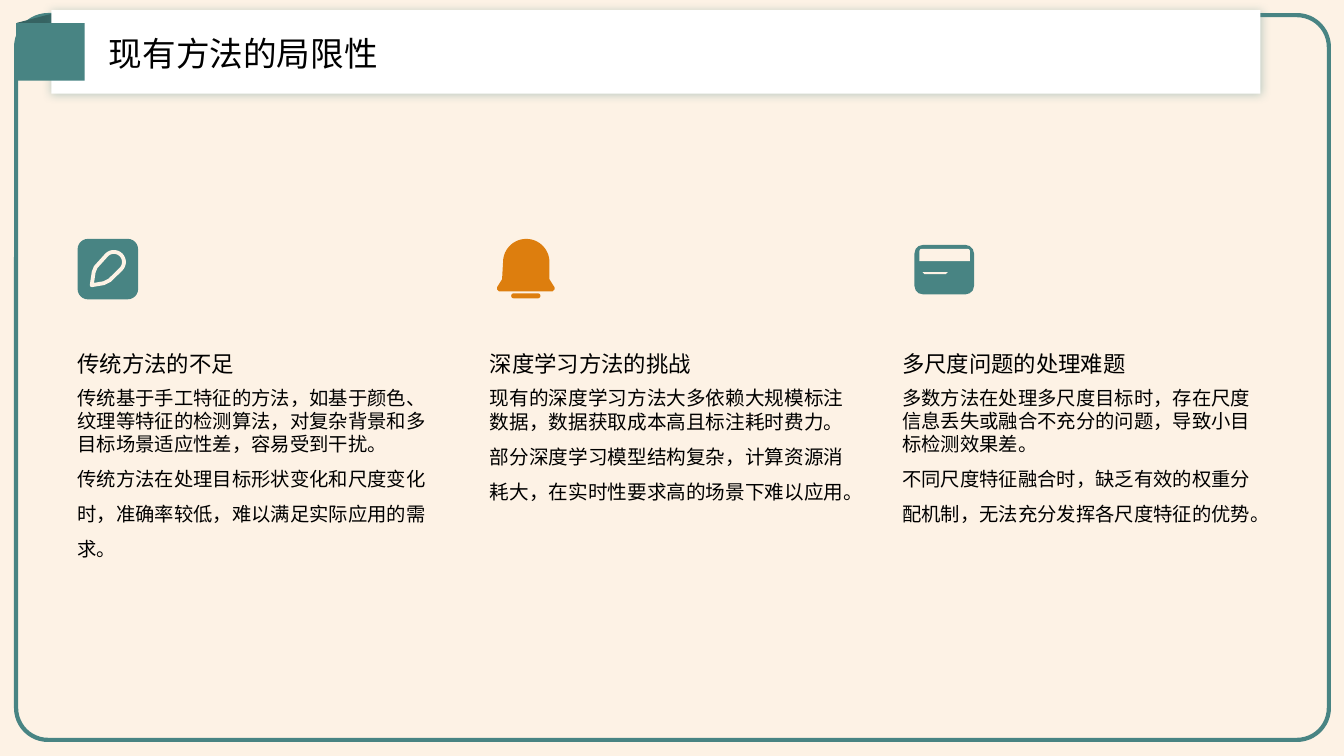
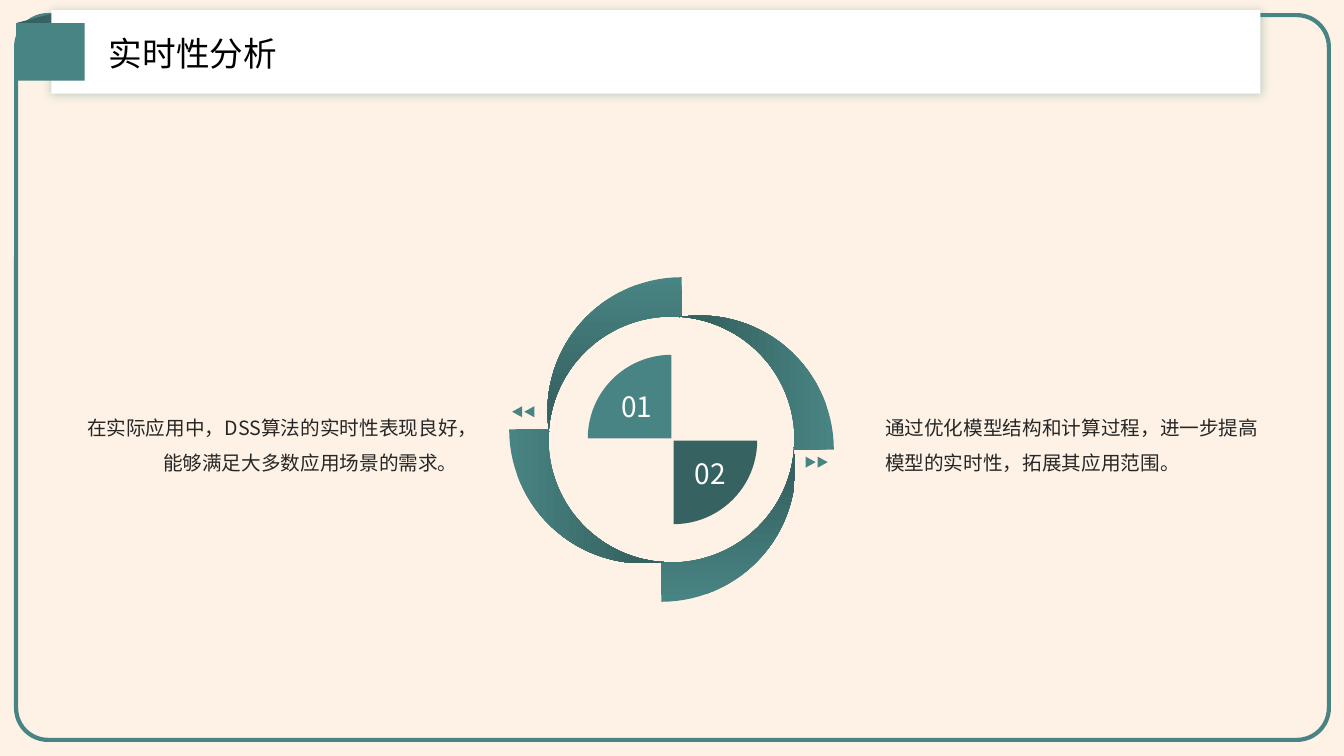
from math import cos, radians, sin

from pptx import Presentation
from pptx.dml.color import RGBColor
from pptx.enum.shapes import MSO_SHAPE as Form
from pptx.enum.text import MSO_ANCHOR as Anchor, PP_ALIGN as Align
from pptx.oxml import parse_xml
from pptx.oxml.ns import nsdecls, qn
from pptx.util import Inches, Pt

FONT = "Noto Sans CJK SC"
TEAL = RGBColor(0x48, 0x84, 0x83)
DARK = RGBColor(0x36, 0x63, 0x62)
ORANGE = RGBColor(0xDD, 0x7E, 0x0E)
CREAM = RGBColor(0xFD, 0xF2, 0xE5)
WHITE = RGBColor(0xFF, 0xFF, 0xFF)
BLACK = RGBColor(0x00, 0x00, 0x00)
INK = RGBColor(0x26, 0x26, 0x26)


def draw(slide, form, where, fill=None, line=None, width=0):
    """Draw a preset in the box `where`, or with no form an outline of
    (x, y) points and (cx, cy, radius, start, end) arcs in degrees."""
    if form is None:
        spots = []
        for spot in where:
            if len(spot) == 2:
                spots.append(spot)
                continue
            x, y, r, start, end = spot
            turns = [radians(start + (end - start) * i / 30) for i in range(31)]
            spots += [(x + r * cos(t), y + r * sin(t)) for t in turns]
        spots = [(Inches(x), Inches(y)) for x, y in spots]
        pen = slide.shapes.build_freeform(*spots[0])
        pen.add_line_segments(spots[1:], close=True)
        shape = pen.convert_to_shape()
    else:
        shape = slide.shapes.add_shape(form, *map(Inches, where))
    shape.shadow.inherit = False
    if fill is None:
        shape.fill.background()
    else:
        shape.fill.solid()
        shape.fill.fore_color.rgb = fill
    if line is None:
        shape.line.fill.background()
    else:
        shape.line.color.rgb = line
        shape.line.width = Pt(width)
    return shape


def write(shape, *texts, size, color=BLACK, align=Align.LEFT,
          anchor=Anchor.TOP, space=(1.5,), inset=True):
    """Fill a shape with one paragraph per text; `space` is per paragraph."""
    frame = shape.text_frame
    frame.word_wrap = True
    frame.vertical_anchor = anchor
    if not inset:
        frame.margin_left = frame.margin_right = 0
        frame.margin_top = frame.margin_bottom = 0
    for i, (text, gap) in enumerate(zip(texts, space)):
        para = frame.paragraphs[0] if i == 0 else frame.add_paragraph()
        para.alignment = align
        para.line_spacing = gap
        para._p.get_or_add_pPr().set("hangingPunct", "1")
        run = para.add_run()
        run.text = text
        run.font.size = Pt(size)
        run.font.color.rgb = color
        run.font.name = FONT
        asian = parse_xml(f'<a:ea {nsdecls("a")} typeface="{FONT}"/>')
        run.font._element.find(qn("a:latin")).addnext(asian)


deck = Presentation()
deck.slide_width, deck.slide_height = Inches(13.33), Inches(7.5)

# Shared layout: background, frame, banner and title place
base = deck.slide_layouts.get_by_name("Title Only")
base.background.fill.solid()
base.background.fill.fore_color.rgb = CREAM
for holder in list(base.placeholders):
    if holder.placeholder_format.idx:
        holder.element.getparent().remove(holder.element)
    else:
        holder.left, holder.top = Inches(1.08), Inches(0.24)
        holder.width, holder.height = Inches(8.51), Inches(0.54)

limits, speed = [deck.slides.add_slide(base) for _ in range(2)]
for slide, title in ((limits, "现有方法的局限性"), (speed, "实时性分析")):
    write(slide.shapes.title, title, size=24, anchor=Anchor.MIDDLE,
          space=(1.1,), inset=False)

frame = draw(limits, Form.ROUNDED_RECTANGLE, (0.16, 0.15, 13.02, 7.19),
             line=TEAL, width=3)
frame.adjustments[0] = 0.044
fold = draw(limits, Form.RECTANGLE, (0.22, 0.16, 0.47, 0.47), DARK)
fold.rotation = 345.4
banner = draw(limits, Form.RECTANGLE, (0.51, 0.1, 11.99, 0.83), WHITE)
glow = parse_xml(
    f'<a:outerShdw {nsdecls("a")} blurRad="{Pt(7)}" dist="0" dir="0" '
    f'algn="ctr" rotWithShape="0"><a:srgbClr val="{TEAL}">'
    '<a:alpha val="36000"/></a:srgbClr></a:outerShdw>')
banner.element.spPr.find(qn("a:effectLst")).append(glow)
tab = draw(limits, Form.RECTANGLE, (0.16, 0.23, 0.68, 0.57), TEAL)
for part in (frame, fold, banner, tab):
    base.shapes.element.append(part.element)

# Slide 1: three columns
columns = [
    ("传统方法的不足", 13.8,
     "传统基于手工特征的方法，如基于颜色、纹理等特征的检测算法，对复杂背景和多目标场景适应性差，容易受到干扰。",
     "传统方法在处理目标形状变化和尺度变化时，准确率较低，难以满足实际应用的需求。"),
    ("深度学习方法的挑战", 14,
     "现有的深度学习方法大多依赖大规模标注数据，数据获取成本高且标注耗时费力。",
     "部分深度学习模型结构复杂，计算资源消耗大，在实时性要求高的场景下难以应用。"),
    ("多尺度问题的处理难题", 13.8,
     "多数方法在处理多尺度目标时，存在尺度信息丢失或融合不充分的问题，导致小目标检测效果差。",
     "不同尺度特征融合时，缺乏有效的权重分配机制，无法充分发挥各尺度特征的优势。"),
]
for i, (name, size, *body) in enumerate(columns):
    left = 0.77 + 4.09 * i
    head = limits.shapes.add_textbox(*map(Inches, (left, 3.03, 3.6, 0.71)))
    write(head, name, size=16, anchor=Anchor.BOTTOM, space=(1.3,), inset=False)
    text = limits.shapes.add_textbox(*map(Inches, (left, 3.83, 3.6, 1.72)))
    write(text, *body, size=size, space=(1.0, 1.5), inset=False)

# Pencil, bell and card icons
plate = draw(limits, Form.ROUNDED_RECTANGLE, (0.77, 2.37, 0.6, 0.6), TEAL)
plate.adjustments[0] = 0.17
pencil = [(1.13, 2.6, 0.1, 225, 405), (1.09, 2.78), (1.03, 2.81),
          (0.91, 2.83), (0.93, 2.7), (0.95, 2.65)]
draw(limits, None, pencil, line=CREAM, width=2.75)

bell = [(5.22, 2.6, 0.23, 180, 360), (5.45, 2.77), (5.5, 2.85), (5.5, 2.87),
        (5.48, 2.89), (4.95, 2.89), (4.93, 2.87), (4.93, 2.85), (4.98, 2.77)]
draw(limits, None, bell, ORANGE)
bar = draw(limits, Form.ROUNDED_RECTANGLE, (5.07, 2.91, 0.29, 0.05), ORANGE)
bar.adjustments[0] = 0.5

card = draw(limits, Form.ROUNDED_RECTANGLE, (9.07, 2.43, 0.59, 0.49), TEAL)
card.adjustments[0] = 0.17
draw(limits, Form.ROUND_2_SAME_RECTANGLE, (9.12, 2.47, 0.5, 0.12), CREAM)
draw(limits, None, [(9.15, 2.7), (9.4, 2.7), (9.38, 2.72), (9.17, 2.72)], CREAM)

# Slide 2: ring of four blades, each a quarter turn on
MID_X, MID_Y = 6.66, 4.36
dx, dy = 0.1, -0.28
for i in range(4):
    turn = 90 * i
    blade = draw(speed, None, [
        (MID_X + dx, MID_Y + dy, 1.33, 270 + turn, 171 + turn),
        (MID_X, MID_Y, 1.22, 183.5 + turn, 275 + turn)], TEAL)
    blade.fill.gradient()
    blade.fill.gradient_angle = 270 - turn
    for stop, color, place in zip(blade.fill.gradient_stops,
                                  (TEAL, DARK), (0, 0.82)):
        stop.color.rgb = color
        stop.position = place
    dx, dy = -dy, dx

# Arrow pairs pointing out to the texts
for x, y, way in ((5.3, 4.03, -1), (7.99, 4.53, 1)):
    for step in (0, 0.12):
        foot = x + way * step
        draw(speed, None, [(foot, y), (foot, y + 0.11),
                           (foot + way * 0.1, y + 0.055)], TEAL)

# Numbered quarters
quarters = [("01", 5.83, 3.52, TEAL, 0, 5.93, 3.62),
            ("02", 5.85, 3.54, DARK, 180, 6.66, 4.28)]
for number, x, y, color, turn, left, top in quarters:
    pie = draw(speed, Form.PIE, (x, y, 1.66, 1.66), color)
    pie.adjustments[0], pie.adjustments[1] = 108, 162
    pie.rotation = turn
    label = speed.shapes.add_textbox(*map(Inches, (left, top, 0.64, 0.63)))
    write(label, number, size=20, color=WHITE, align=Align.RIGHT,
          anchor=Anchor.BOTTOM, space=(1.1,))

sides = [(0.72, Align.RIGHT, "在实际应用中，DSS算法的实时性表现良好，能够满足大多数应用场景的需求。"),
         (8.68, Align.LEFT, "通过优化模型结构和计算过程，进一步提高模型的实时性，拓展其应用范围。")]
for left, align, text in sides:
    note = speed.shapes.add_textbox(*map(Inches, (left, 3.53, 3.92, 1.66)))
    write(note, text, size=14, color=INK, align=align, anchor=Anchor.MIDDLE)

deck.save("out.pptx")
